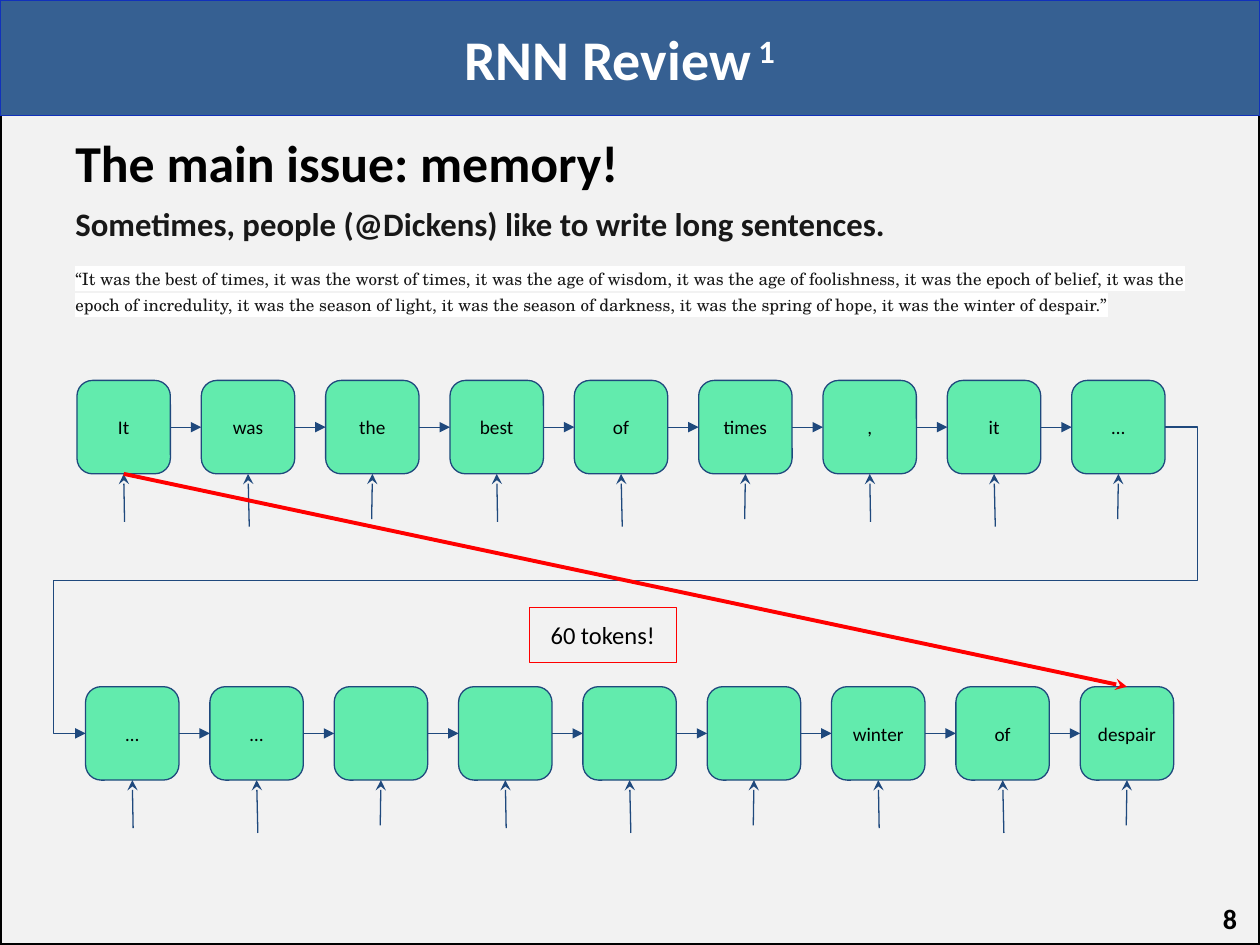
from dataclasses import dataclass

from lxml import etree
from pptx import Presentation
from pptx.dml.color import RGBColor
from pptx.enum import shapes, text
from pptx.oxml import ns
from pptx.util import Pt


@dataclass(frozen=True)
class Theme:
    page: str = "F2F2F2"
    band: str = "366092"
    edge: str = "1131BB"
    navy: str = "1F497D"
    mint: str = "62EBAD"
    red: str = "FF0000"
    black: str = "000000"
    soft: str = "181818"
    white: str = "FFFFFF"
    sans: str = "Calibri"
    serif: str = "TeX Gyre Schola"
    title: float = 32
    head: float = 29.6
    lead: float = 18.7
    quote: float = 9.7
    token: float = 11
    note: float = 14
    page_no: float = 16


T = Theme()
MID, TOP = text.MSO_ANCHOR.MIDDLE, text.MSO_ANCHOR.TOP
LEFT, MIDDLE, RIGHT = text.PP_ALIGN.LEFT, text.PP_ALIGN.CENTER, text.PP_ALIGN.RIGHT
FORM, LINE = shapes.MSO_SHAPE, shapes.MSO_CONNECTOR


def write(para, words, size, hue=T.black, font=T.sans, bold=False, **fmt):
    """Add a run to para, with paragraph formats in fmt."""
    for key, val in fmt.items():
        setattr(para, key, val)
    run = para.add_run()
    run.text = words
    look = {"size": Pt(size), "name": font, "bold": bold}
    for key, val in look.items():
        setattr(run.font, key, val)
    run.font.color.rgb = RGBColor.from_string(hue)
    return run


def wire(start, stop, tip, end="tailEnd", hue=T.navy, width=0.75, kind=LINE.STRAIGHT):
    """Draw a connector with an arrowhead; each end is a point or (box, site)."""
    ends = [(0, 0) if hasattr(e[0], "fill") else e for e in (start, stop)]
    link = deck.add_connector(kind, *(Pt(n) for e in ends for n in e))
    for join, e in ((link.begin_connect, start), (link.end_connect, stop)):
        if hasattr(e[0], "fill"):
            join(*e)
    link.line.color.rgb = RGBColor.from_string(hue)
    link.line.width = Pt(width)
    etree.SubElement(link.line._get_or_add_ln(), ns.qn("a:" + end), type=tip)
    etree.SubElement(link._element.spPr, ns.qn("a:effectLst"))
    return link


prs = Presentation()
prs.slide_width, prs.slide_height = Pt(720), Pt(540)
slide = prs.slides.add_slide(prs.slide_layouts[6])
deck = slide.shapes

# Page and title band
for high, fill, edge, width in ((540, T.page, T.black, 2), (66, T.band, T.edge, 0.75)):
    rect = deck.add_shape(FORM.RECTANGLE, 0, 0, Pt(720), Pt(high))
    rect.shadow.inherit = False
    rect.fill.solid()
    rect.fill.fore_color.rgb = RGBColor.from_string(fill)
    rect.line.color.rgb = RGBColor.from_string(edge)
    rect.line.width = Pt(width)

# Title, body and page number
frames = []
for area, anchor in (
    ((12, 0, 684, 66), MID),
    ((36, 77.8, 654, 139.7), TOP),
    ((648, 509.8, 66, 30.2), MID),
):
    frame = deck.add_textbox(*map(Pt, area)).text_frame
    for key, val in {"word_wrap": True, "vertical_anchor": anchor}.items():
        setattr(frame, key, val)
    frames.append(frame)
title, body, number = frames

para = title.paragraphs[0]
write(para, "RNN Review", T.title, T.white, bold=True, alignment=MIDDLE)
mark = write(para, " 1", T.title, T.white, bold=True)
mark.font._element.set("baseline", "30000")

write(body.paragraphs[0], "The main issue: memory!", T.head, bold=True,
      alignment=LEFT, line_spacing=0.8, space_before=Pt(6.4))
write(body.add_paragraph(), "Sometimes, people (@Dickens) like to write long sentences.",
      T.lead, T.soft, bold=True, line_spacing=1.3, space_before=Pt(0))
quote = write(
    body.add_paragraph(),
    "“It was the best of times, it was the worst of times, it was the age of wisdom, "
    "it was the age of foolishness, it was the epoch of belief, it was the epoch of "
    "incredulity, it was the season of light, it was the season of darkness, it was "
    "the spring of hope, it was the winter of despair.”",
    T.quote, T.soft, T.serif,
    line_spacing=1.3, space_before=Pt(11), space_after=Pt(11))
glow = etree.Element(ns.qn("a:highlight"))
etree.SubElement(glow, ns.qn("a:srgbClr"), val=T.white)
quote.font._element.find(ns.qn("a:latin")).addprevious(glow)

write(number.paragraphs[0], "8", T.page_no, bold=True, alignment=RIGHT)

# Two rows of cells, each fed from below and linked to the next
SIDE, STEP = 53.4, 71.05
FEEDS = ((0.5, 27.4), (0.7, 30.2), (-0.4, 25.9))
rows = []
for left, top, tokens in (
    (44, 217.4, ("It", "was", "the", "best", "of", "times", ",", "it", "…")),
    (48.9, 392.4, ("…", "…", "", "", "", "", "winter", "of", "despair")),
):
    cells = []
    for i, token in enumerate(tokens):
        x = left + i * STEP
        cell = deck.add_shape(FORM.ROUNDED_RECTANGLE, Pt(x), Pt(top), Pt(SIDE), Pt(SIDE))
        cell.shadow.inherit = False
        cell.fill.solid()
        cell.fill.fore_color.rgb = RGBColor.from_string(T.mint)
        cell.line.color.rgb = RGBColor.from_string(T.navy)
        cell.line.width = Pt(0.75)
        frame = cell.text_frame
        pad = dict.fromkeys(("margin_left", "margin_right", "margin_top", "margin_bottom"), Pt(7.2))
        for key, val in {**pad, "vertical_anchor": MID, "word_wrap": True}.items():
            setattr(frame, key, val)
        if token:
            write(frame.paragraphs[0], token, T.token, alignment=MIDDLE)
        shift, drop = FEEDS[i % 3]
        wire((cell, 2), (x + SIDE / 2 + shift, top + SIDE + drop), "stealth", "headEnd")
        if cells:
            wire((cells[-1], 3), (cell, 1), "triangle")
        cells.append(cell)
    rows.append(cells)
first, last = rows

# Turn from the first row into the second
turn = wire((first[-1], 3), (last[0], 1), "triangle", kind=LINE.ELBOW)
geom = turn._element.spPr.find(ns.qn("a:prstGeom"))
geom.set("prst", "bentConnector5")
guides = geom.find(ns.qn("a:avLst"))
for i, val in enumerate((-3000, 50000, 103000), 1):
    etree.SubElement(guides, ns.qn("a:gd"), name=f"adj{i}", fmla=f"val {val}")

# Distance between first and last token
wire((first[0], 2), (last[-1], 0), "stealth", hue=T.red, width=2.25)
note = deck.add_shape(FORM.RECTANGLE, Pt(302.4), Pt(347), Pt(84.2), Pt(31.7))
note.shadow.inherit = False
note.fill.background()
note.line.color.rgb = RGBColor.from_string(T.red)
note.line.width = Pt(0.75)
for key, val in {**pad, "vertical_anchor": TOP, "word_wrap": True}.items():
    setattr(note.text_frame, key, val)
write(note.text_frame.paragraphs[0], "60 tokens!", T.note, alignment=MIDDLE)

prs.save("out.pptx")
